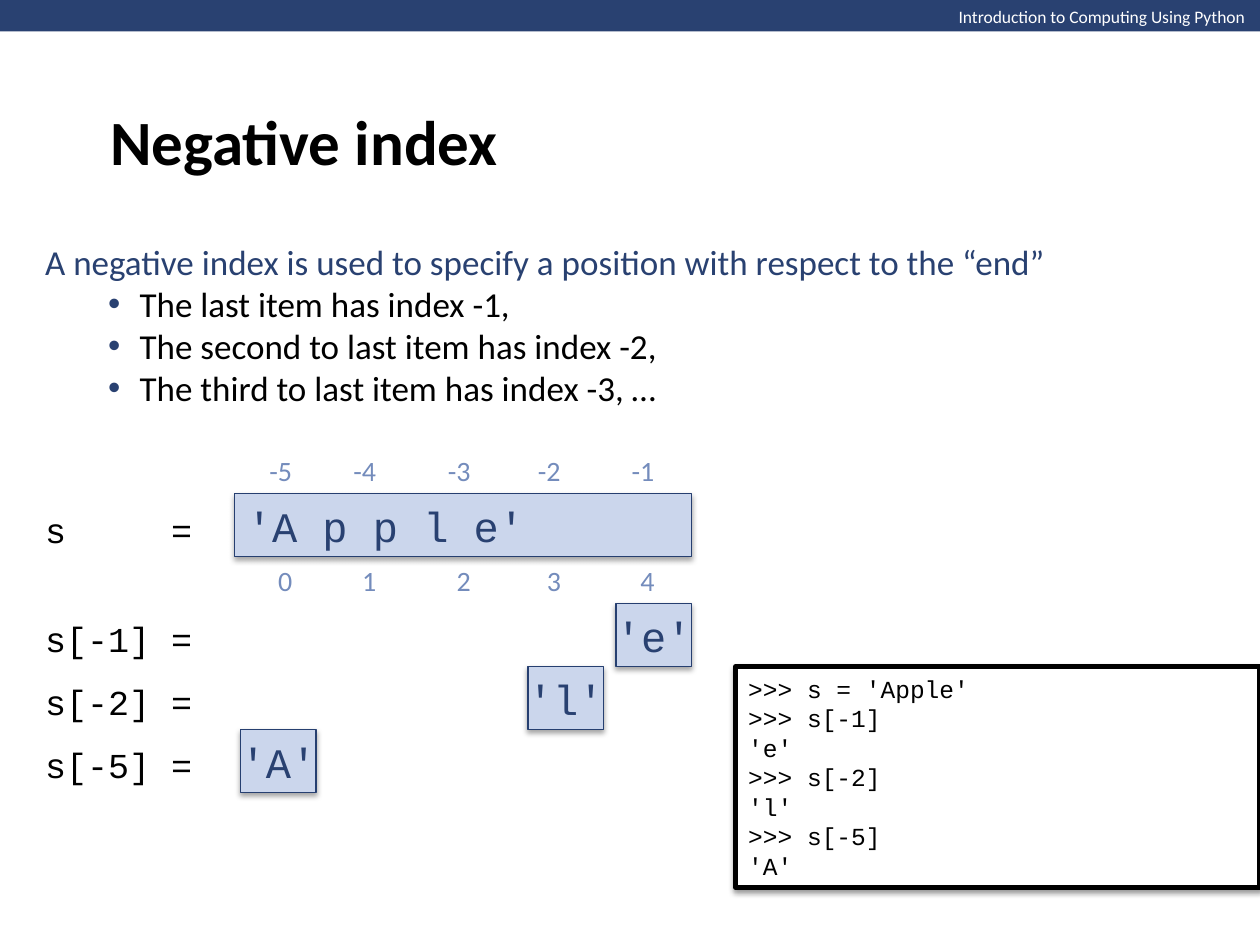
from dataclasses import dataclass

from lxml.etree import SubElement
from pptx import Presentation
from pptx.dml.color import RGBColor as RGB
from pptx.enum.shapes import MSO_SHAPE as Kind
from pptx.enum.text import MSO_ANCHOR as Anchor, PP_ALIGN as Align
from pptx.oxml import parse_xml
from pptx.oxml.ns import nsdecls, qn
from pptx.util import Pt


@dataclass(frozen=True)
class Theme:
    navy: str = "294171"
    edge: str = "263F70"
    pale: str = "CBD6EC"
    mist: str = "748CBC"
    black: str = "000000"
    white: str = "FFFFFF"
    sans: str = "Calibri"
    mono: str = "Courier New"
    small: int = 10
    code: int = 14
    index: int = 16
    body: int = 20
    cell: int = 24
    title: int = 36


T = Theme()
deck = Presentation()
deck.slide_width, deck.slide_height = Pt(720), Pt(540)
slide = deck.slides.add_slide(deck.slide_layouts[6])


def write(shape, text, size, color, face=T.sans, align=Align.LEFT,
          anchor=Anchor.MIDDLE, wrap=True):
    """Fill a shape with text in one style and return its paragraphs."""
    frame = shape.text_frame
    frame.text = text
    frame.word_wrap = wrap
    frame.vertical_anchor = anchor
    for para in frame.paragraphs:
        para.alignment = align
        for run in para.runs:
            run.font.size = Pt(size)
            run.font.name = face
            run.font.color.rgb = RGB.from_string(color)
    return frame.paragraphs


def panel(x, y, wide, high, fill, edge=None, line=0.75, alpha=35):
    """Draw a rectangle; one with an edge also casts a soft shadow."""
    box = slide.shapes.add_shape(Kind.RECTANGLE, Pt(x), Pt(y), Pt(wide), Pt(high))
    box.shadow.inherit = False
    box.fill.solid()
    box.fill.fore_color.rgb = RGB.from_string(fill)
    if edge is None:
        box.line.fill.background()
        return box
    box.line.color.rgb = RGB.from_string(edge)
    box.line.width = Pt(line)
    glow = box._element.spPr.find(qn("a:effectLst"))
    glow.append(parse_xml(
        f'<a:outerShdw {nsdecls("a")} blurRad="{Pt(3.1)}" dist="{Pt(1.8)}" '
        f'dir="5400000" rotWithShape="0"><a:srgbClr val="{T.black}">'
        f'<a:alpha val="{alpha * 1000}"/></a:srgbClr></a:outerShdw>'))
    return box


# Header and title
panel(0, 0, 720, 18, T.navy)
head = slide.shapes.add_textbox(Pt(540.7), Pt(0), Pt(180), Pt(19.4))
write(head, "Introduction to Computing Using Python", T.small, T.white,
      anchor=Anchor.TOP, wrap=False)
title = slide.shapes.add_textbox(Pt(56), Pt(50), Pt(612), Pt(60))
write(title, "Negative index", T.title, T.black)[0].runs[0].font.bold = True

# Lead sentence with bullets
points = [
    "A negative index is used to specify a position with respect to the “end”",
    "The last item has index -1,",
    "The second to last item has index -2,",
    "The third to last item has index -3, …",
]
body = slide.shapes.add_textbox(Pt(18.7), Pt(133.2), Pt(667.4), Pt(104.6))
paras = write(body, "\n".join(points), T.body, T.black)
paras[0].runs[0].font.color.rgb = RGB.from_string(T.navy)
for para in paras[1:]:
    para.level = 1
    prop = para._p.get_or_add_pPr()
    prop.set("marL", str(Pt(54)))
    prop.set("indent", str(Pt(-18)))
    tint = SubElement(prop, qn("a:buClr"))
    SubElement(tint, qn("a:srgbClr")).set("val", T.navy)
    SubElement(prop, qn("a:buFont")).set("typeface", "Arial")
    SubElement(prop, qn("a:buChar")).set("char", "•")

# The whole string, with both kinds of index
word = panel(134, 282.2, 261, 36, T.pale, T.edge)
write(word, "'A p p l e'", T.cell, T.navy, T.mono, Align.JUSTIFY)
mids = [163, 211, 265, 316.5, 370]
for top, shift, first in ((255.6, -2.6, -5), (318.2, 0, 0)):
    for num, mid in enumerate(mids, first):
        label = slide.shapes.add_textbox(Pt(mid + shift - 22), Pt(top), Pt(44), Pt(26.6))
        write(label, str(num), T.index, T.mist, align=Align.CENTER)

# Expressions and the single items they give
step, start = 36, 345
names = [("s\t=", 286.6)]
items = [("s[-1] =", "'e'", 352), ("s[-2] =", "'l'", 301.7), ("s[-5] =", "'A'", 137.5)]
for row, (name, item, left) in enumerate(items):
    top = start + row * step
    names.append((name, top + 4.2))
    cell = panel(left, top, 43.2, step, T.pale, T.edge)
    write(cell, item, T.cell, T.navy, T.mono, Align.CENTER, wrap=False)
for name, top in names:
    label = slide.shapes.add_textbox(Pt(18.7), Pt(top), Pt(108), Pt(31.5))
    para = write(label, name, T.body, T.black, T.mono)[0]
    if "\t" in name:
        tabs = SubElement(para._p.get_or_add_pPr(), qn("a:tabLst"))
        stop = SubElement(tabs, qn("a:tab"))
        stop.set("pos", str(Pt(72)))
        stop.set("algn", "l")

# Interpreter session
lines = [">>> s = 'Apple'", ">>> s[-1]", "'e'", ">>> s[-2]", "'l'", ">>> s[-5]", "'A'"]
shell = panel(420.5, 381, 299.5, 126, T.white, T.black, line=3, alpha=38)
write(shell, "\n".join(lines), T.code, T.black, T.mono)

deck.save("out.pptx")
